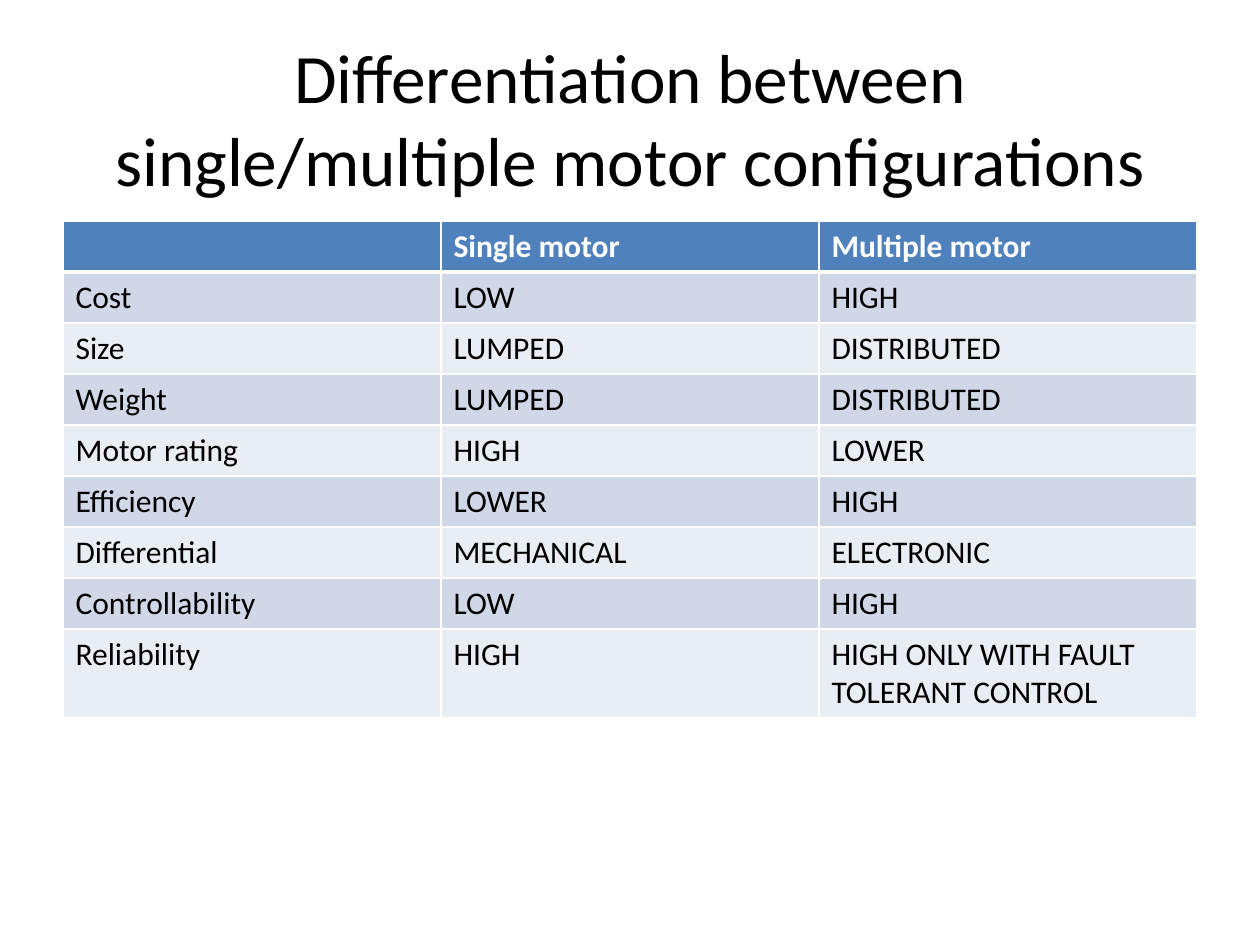
from lxml.etree import SubElement
from pptx import Presentation
from pptx.dml.color import RGBColor
from pptx.enum.text import MSO_ANCHOR as Anchor, PP_ALIGN as Align
from pptx.oxml.ns import qn
from pptx.util import Pt

TITLE = "Differentiation between single/multiple motor configurations"
COMPARISON = [
    ("", "Single motor", "Multiple motor"),
    ("Cost", "LOW", "HIGH"),
    ("Size", "LUMPED", "DISTRIBUTED"),
    ("Weight", "LUMPED", "DISTRIBUTED"),
    ("Motor rating", "HIGH", "LOWER"),
    ("Efficiency", "LOWER", "HIGH"),
    ("Differential", "MECHANICAL", "ELECTRONIC"),
    ("Controllability", "LOW", "HIGH"),
    ("Reliability", "HIGH", "HIGH ONLY WITH FAULT TOLERANT CONTROL"),
]
TITLE_FONT = {"name": "Calibri", "size": Pt(39.6)}
HEADER_FONT = {"name": "Calibri", "size": Pt(18), "bold": True}
BODY_FONT = {"name": "Calibri", "size": Pt(18), "bold": False}
BLACK, WHITE, HEADER_FILL = "000000", "FFFFFF", "4F81BD"
BAND_FILLS = ("E9EDF4", "D0D8E8")

PX = 914400 // 126
LEFT, WIDTH = 63, 1134
TITLE_TOP, TITLE_HEIGHT = 38, 158
TABLE_TOP, ROW_HEIGHT, LAST_HEIGHT = 221, 51, 89


def px(*lengths):
    return [length * PX for length in lengths]


def rgb(color):
    return RGBColor.from_string(color)


def style(font, values, color):
    for key, value in values.items():
        setattr(font, key, value)
    font.color.rgb = rgb(color)


def add_borders(cell, widths):
    properties = cell._tc.get_or_add_tcPr()
    for index, (side, width) in enumerate(widths.items()):
        border = SubElement(properties, qn(f"a:ln{side}"), w=str(Pt(width)))
        fill = SubElement(border, qn("a:solidFill"))
        SubElement(fill, qn("a:srgbClr"), val=WHITE)
        properties.insert(index, border)


def add_title(slide):
    box = slide.shapes.add_textbox(*px(LEFT, TITLE_TOP, WIDTH, TITLE_HEIGHT))
    frame = box.text_frame
    frame.word_wrap = True
    frame.vertical_anchor = Anchor.MIDDLE
    frame.text = TITLE
    heading = frame.paragraphs[0]
    heading.alignment = Align.CENTER
    style(heading.runs[0].font, TITLE_FONT, BLACK)


def add_comparison(slide):
    last = len(COMPARISON) - 1
    height = ROW_HEIGHT * last + LAST_HEIGHT
    table = slide.shapes.add_table(
        len(COMPARISON), len(COMPARISON[0]), *px(LEFT, TABLE_TOP, WIDTH, height)
    ).table
    for r, entries in enumerate(COMPARISON):
        table.rows[r].height = px(LAST_HEIGHT if r == last else ROW_HEIGHT)[0]
        header = r == 0
        for c, entry in enumerate(entries):
            cell = table.cell(r, c)
            cell.text = entry
            style(
                cell.text_frame.paragraphs[0].font,
                HEADER_FONT if header else BODY_FONT,
                WHITE if header else BLACK,
            )
            cell.fill.solid()
            cell.fill.fore_color.rgb = rgb(HEADER_FILL if header else BAND_FILLS[r % 2])
            top, bottom = 3 if r == 1 else 1, 3 if header else 1
            add_borders(cell, {"L": 1, "R": 1, "T": top, "B": bottom})


def main():
    deck = Presentation()
    deck.slide_width, deck.slide_height = px(1260, 945)
    slide = deck.slides.add_slide(deck.slide_layouts[6])
    add_title(slide)
    add_comparison(slide)
    deck.save("out.pptx")


if __name__ == "__main__":
    main()
